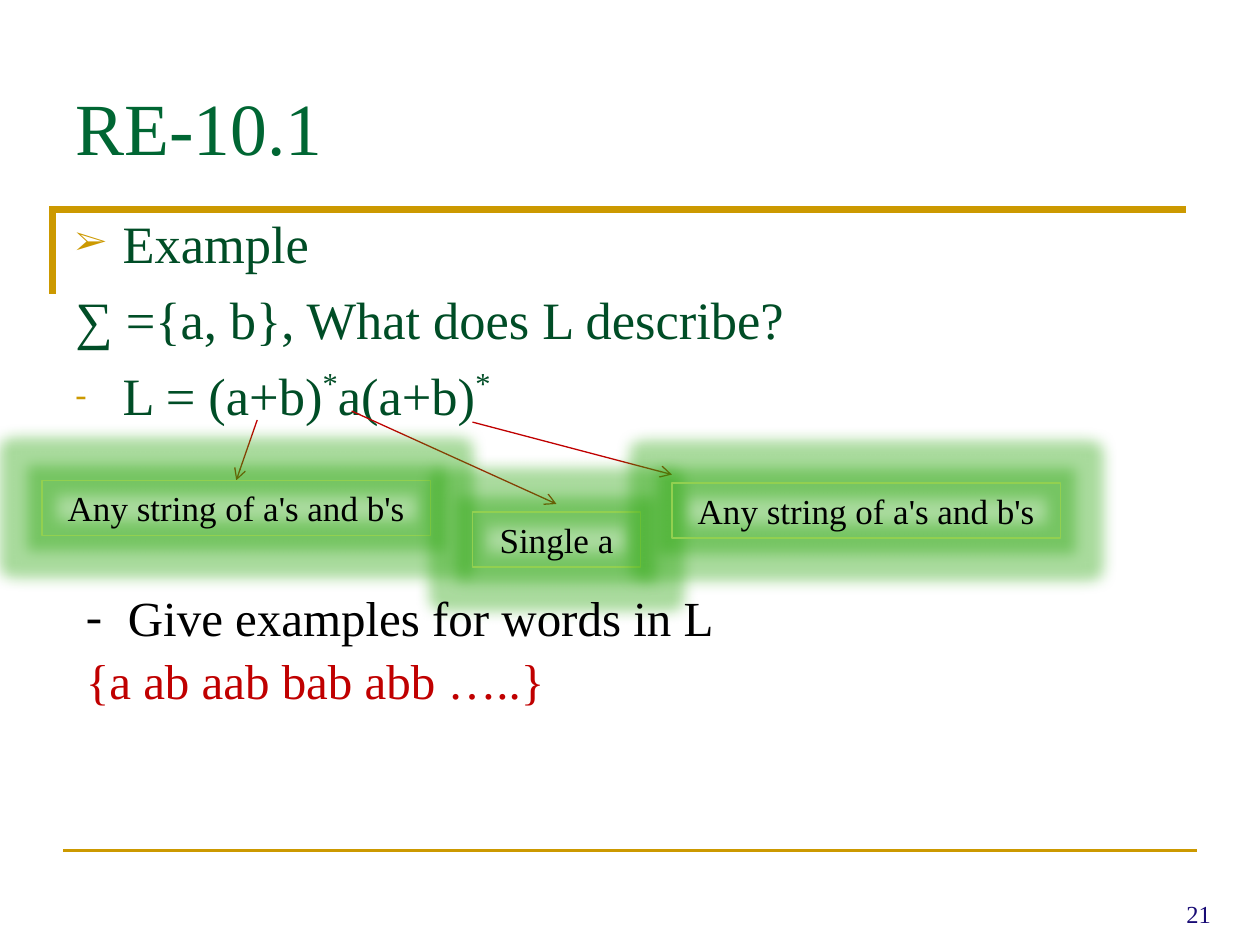
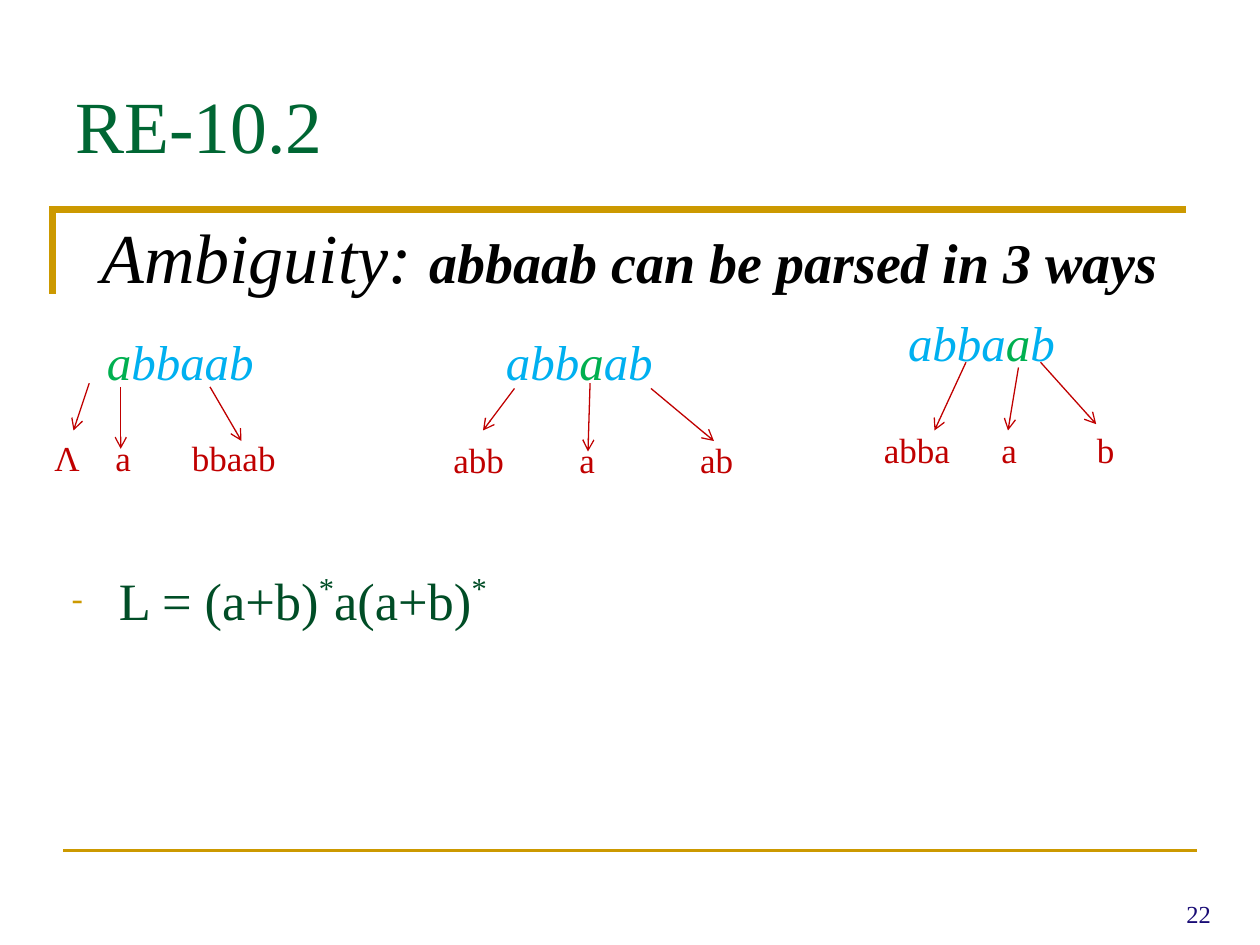
import pptx
import pptx.util
import pptx.dml.color
import pptx.enum.shapes
import pptx.enum.text
import pptx.oxml
import pptx.oxml.ns

COLUMNS, ROWS = 120, 90
FONT = "Times New Roman"
COLORS = {
    "gold": "CC9900", "title": "006633", "body": "004D26", "number": "180B75",
    "black": "000000", "red": "C00000", "lime": "92D050", "glow": "2AA50C",
    "green": "00B050", "blue": "00B0F0",
}
STYLES = {
    "title": ("title", {"size": 42}),
    "body": ("body", {"size": 30}),
    "number": ("number", {"size": 14}),
    "box": ("black", {"size": 20}),
    "label": ("red", {"size": 20}),
    "task": ("black", {"size": 28}),
    "answer": ("red", {"size": 28}),
    "rest": ("blue", {"size": 28, "italic": True}),
    "chosen": ("green", {"size": 28, "italic": True}),
    "topic": ("black", {"size": 40, "italic": True}),
    "claim": ("black", {"size": 32, "italic": True, "bold": True}),
}
ALIGN = pptx.enum.text.PP_ALIGN
ANCHOR = pptx.enum.text.MSO_ANCHOR
EXPRESSION = [("L = (a+b)", 0), ("*", 40), ("a(a+b)", 0), ("*", 40)]


def color_of(name):
    return pptx.dml.color.RGBColor.from_string(COLORS[name])


def add_xml(parent, tag, children="", **attributes):
    values = "".join(f' {name}="{value}"' for name, value in attributes.items())
    namespace = pptx.oxml.ns.nsdecls("a")
    parent.append(pptx.oxml.parse_xml(f"<a:{tag} {namespace}{values}>{children}</a:{tag}>"))


class Painter:
    def __init__(self):
        self.deck = pptx.Presentation()
        self.deck.slide_width = pptx.util.Inches(10)
        self.deck.slide_height = pptx.util.Inches(7.5)
        self.page = None

    def across(self, columns):
        return round(self.deck.slide_width * columns / COLUMNS)

    def down(self, rows):
        return round(self.deck.slide_height * rows / ROWS)

    def area(self, left, top, width, height):
        return self.across(left), self.down(top), self.across(width), self.down(height)

    def start_page(self, title, top, number):
        self.page = self.deck.slides.add_slide(self.deck.slide_layouts[5])
        self.frame()
        self.line((6, 81), (114, 81), "gold", 2)
        box = self.page.shapes.title
        places = zip(("left", "top", "width", "height"), self.area(6, top, 108, 9.7))
        for name, value in places:
            setattr(box, name, value)
        self.prepare(box.text_frame, ANCHOR.BOTTOM)
        box.text_frame.margin_bottom = self.down(0.3)
        self.add_spans(box.text_frame.paragraphs[0], [(title, "title")], alignment=ALIGN.LEFT)
        footer = self.text(106.5, 85, 10, 3.2)
        self.add_spans(footer.paragraphs[0], [(str(number), "number")], alignment=ALIGN.RIGHT)

    def frame(self):
        corners = [(5, 28), (5, 20), (113, 20)]
        points = [(self.across(column), self.down(row)) for column, row in corners]
        builder = self.page.shapes.build_freeform(*points[0])
        builder.add_line_segments(points[1:], close=False)
        shape = builder.convert_to_shape()
        shape.shadow.inherit = False
        shape.fill.background()
        self.outline(shape, "gold", 4)
        add_xml(shape.line._get_or_add_ln(), "miter", lim=800000)

    def outline(self, shape, color, width):
        shape.line.color.rgb = color_of(color)
        shape.line.width = pptx.util.Pt(width)

    def line(self, start, end, color, width):
        connector = self.page.shapes.add_connector(
            pptx.enum.shapes.MSO_CONNECTOR.STRAIGHT,
            self.across(start[0]), self.down(start[1]),
            self.across(end[0]), self.down(end[1]))
        self.outline(connector, color, width)
        add_xml(connector._element.spPr, "effectLst")
        return connector

    def arrow(self, start, end):
        connector = self.line(start, end, "red", 0.75)
        add_xml(connector.line._get_or_add_ln(), "tailEnd", type="arrow")

    def prepare(self, frame, anchor=ANCHOR.TOP):
        settings = {"word_wrap": True, "vertical_anchor": anchor,
                    "auto_size": pptx.enum.text.MSO_AUTO_SIZE.NONE}
        for name, value in settings.items():
            setattr(frame, name, value)

    def text(self, left, top, width, height):
        box = self.page.shapes.add_textbox(*self.area(left, top, width, height))
        self.prepare(box.text_frame)
        return box.text_frame

    def add_spans(self, para, spans, **settings):
        for name, value in settings.items():
            setattr(para, name, value)
        for text, style, *raised in spans:
            span = para.add_run()
            span.text = text
            color, values = STYLES[style]
            span.font.name = FONT
            span.font.color.rgb = color_of(color)
            for name, value in values.items():
                setattr(span.font, name, pptx.util.Pt(value) if name == "size" else value)
            if raised and raised[0]:
                span.font._element.set("baseline", str(raised[0] * 1000))

    def bullet(self, para, mark, indent, color, percent):
        properties = para._p.get_or_add_pPr()
        properties.set("marL", str(self.across(indent)))
        properties.set("indent", str(-self.across(indent)))
        add_xml(properties, "buClr", f'<a:srgbClr val="{COLORS[color]}"/>')
        add_xml(properties, "buSzPct", val=percent * 1000)
        add_xml(properties, "buFont", typeface=FONT)
        add_xml(properties, "buChar", char=mark)

    def body(self, top, height, items, left=6):
        frame = self.text(left, top, 108, height)
        for index, (mark, spans) in enumerate(items):
            para = frame.add_paragraph() if index else frame.paragraphs[0]
            if mark:
                self.bullet(para, mark, 4.5, "gold", 65)
            settings = {"space_before": pptx.util.Pt(7.5)} if index else {}
            self.add_spans(para, [(text, "body", raised) for text, raised in spans], **settings)

    def glowing_box(self, left, top, width, caption):
        box = self.page.shapes.add_shape(
            pptx.enum.shapes.MSO_SHAPE.RECTANGLE, *self.area(left, top, width, 5.25))
        box.fill.background()
        self.outline(box, "lime", 0.75)
        glow = (f'<a:glow rad="{self.across(2.75)}"><a:srgbClr val="{COLORS["glow"]}">'
                '<a:alpha val="40000"/></a:srgbClr></a:glow>')
        add_xml(box._element.spPr, "effectLst", glow)
        self.prepare(box.text_frame, ANCHOR.MIDDLE)
        self.add_spans(box.text_frame.paragraphs[0], [(caption, "box")], alignment=ALIGN.CENTER)

    def parse_tree(self, word_at, word, labels_at, labels, stops, arrows):
        before, chosen, after = word
        spans = [(before, "rest"), (chosen, "chosen"), (after, "rest")]
        frame = self.text(*word_at, 21, 6.9)
        self.add_spans(frame.paragraphs[0], [span for span in spans if span[0]])
        para = self.text(*labels_at, 30, 5.25).paragraphs[0]
        tabs = "".join(f'<a:tab pos="{self.across(stop)}" algn="l"/>' for stop in stops)
        add_xml(para._p.get_or_add_pPr(), "tabLst", tabs)
        self.add_spans(para, [("\t".join(labels), "label")])
        for start, end in arrows:
            self.arrow(start, end)


def draw_meaning(painter):
    painter.start_page("RE-10.1", 6.84, 21)
    painter.body(19.5, 28, [
        ("➢", [("Example", 0)]),
        (None, [("∑ ={a, b}, What does L describe?", 0)]),
        ("-", EXPRESSION),
    ])
    for start, end in [((24.5, 40), (22.5, 45.75)), ((33.5, 39.15), (53, 48)),
                       ((45, 40.2), (64, 45.2))]:
        painter.arrow(start, end)
    any_string = "Any string of a's and b's"
    for left, top, width, caption in [(4, 45.75, 37, any_string), (45, 48.75, 16, "Single a"),
                                      (64, 46, 37, any_string)]:
        painter.glowing_box(left, top, width, caption)
    frame = painter.text(7, 55.4, 108, 20)
    task = frame.paragraphs[0]
    painter.bullet(task, "-", 4, "black", 100)
    painter.add_spans(task, [("Give examples for words in L", "task")])
    painter.add_spans(frame.add_paragraph(), [("{a ab aab bab abb …..}", "answer")],
                      space_before=pptx.util.Pt(2))


def draw_ambiguity(painter):
    painter.start_page("RE-10.2", 6.6, 22)
    heading = painter.text(6, 19.7, 108, 7)
    painter.add_spans(heading.paragraphs[0], [
        ("Ambiguity: ", "topic"), ("abbaab can be parsed in 3 ways", "claim"),
    ], alignment=ALIGN.CENTER)
    painter.parse_tree(
        (9, 31), ("", "a", "bbaab"), (4, 41), ("Λ", "a", "bbaab"), (5.8, 13.1),
        [((8.5, 36.5), (7, 41)), ((11.5, 36.85), (11.5, 42.75)), ((20, 36.85), (23, 42))])
    painter.parse_tree(
        (47, 31), ("abb", "a", "ab"), (42, 41.2), ("abb", "a", "ab"), (12, 23.5),
        [((49, 37), (46, 41)), ((56.2, 36.5), (56, 43)), ((62, 37), (68, 42))])
    painter.parse_tree(
        (85.3, 29.2), ("abba", "a", "b"), (83, 40.2), ("abba", "a", "b"), (11.2, 20.3),
        [((92, 34.5), (89, 41)), ((97, 35), (96, 41)), ((99.1, 34.5), (104.4, 40.4))])
    painter.body(53.5, 28, [("-", EXPRESSION)], left=5.64)


def main():
    painter = Painter()
    draw_meaning(painter)
    draw_ambiguity(painter)
    painter.deck.save("out.pptx")


if __name__ == "__main__":
    main()
